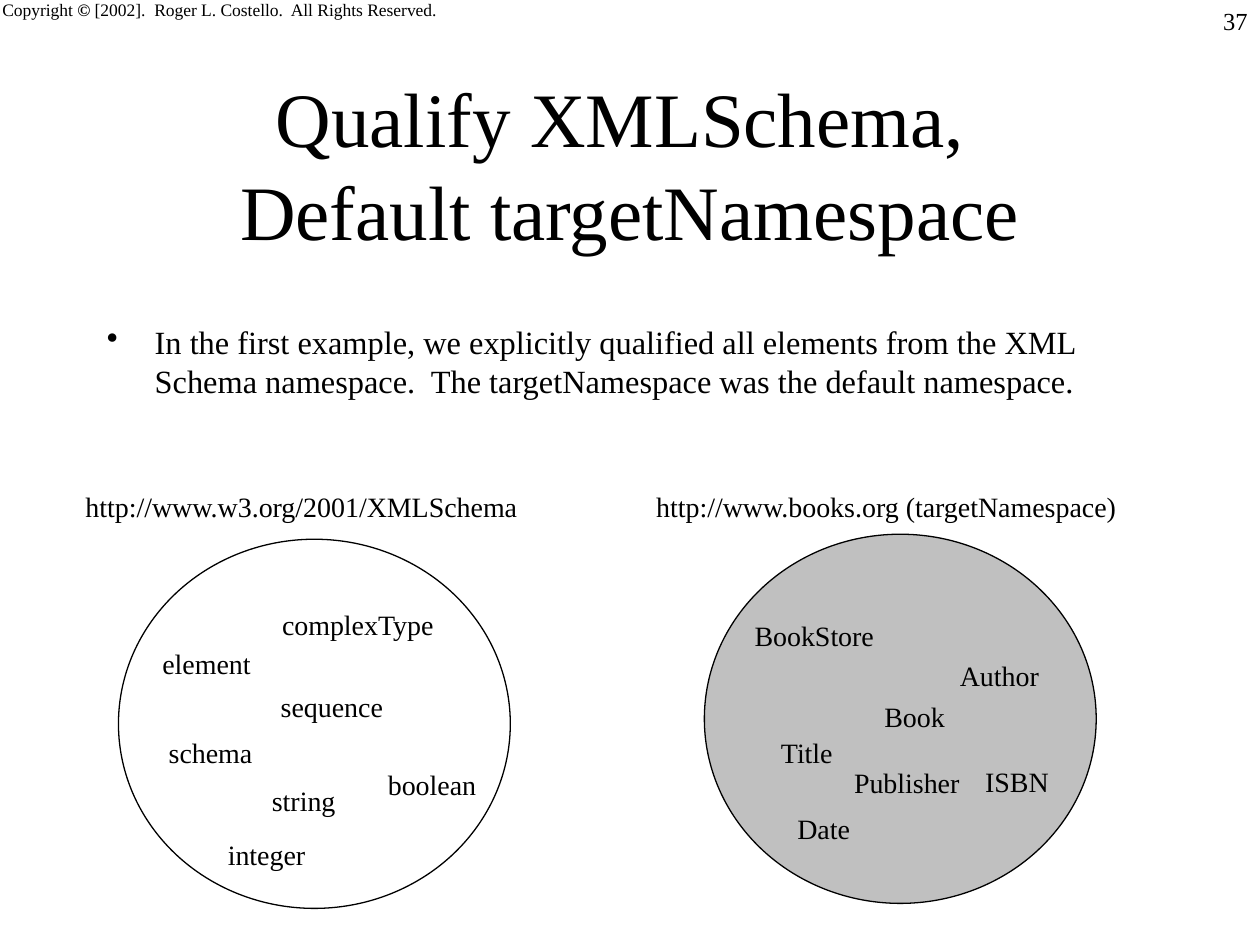
from lxml.etree import SubElement
from pptx import Presentation
from pptx.dml.color import RGBColor
from pptx.enum.shapes import MSO_SHAPE as Preset
from pptx.enum.text import MSO_ANCHOR as Anchor, MSO_AUTO_SIZE as AutoSize, PP_ALIGN as Align
from pptx.oxml.ns import qn
from pptx.util import Pt

PX = 9144  # EMU in one px, 100 px to the inch
FONT = "Times New Roman"
BLACK = RGBColor(0, 0, 0)
WHITE = RGBColor(255, 255, 255)
GREY = RGBColor(192, 192, 192)

LABEL_HEIGHT = 37
CIRCLE_SIZE = (311, 293)


def emu(*lengths):
    return [length * PX for length in lengths]


def add_text(slide, box, text, size=16, align=Align.LEFT, anchor=Anchor.TOP, wrap=False):
    """Add one paragraph of text; a vertical tab in it breaks the line."""
    frame = slide.shapes.add_textbox(*emu(*box)).text_frame
    frame.word_wrap = wrap
    frame.auto_size = AutoSize.NONE if wrap else AutoSize.SHAPE_TO_FIT_TEXT
    frame.vertical_anchor = anchor
    para = frame.paragraphs[0]
    para.text = text
    para.alignment = align
    para.font.size = Pt(size)
    for span in para.runs:
        style_span(span, size)
    return para


def style_span(span, size, bold=False):
    span.font.name = FONT
    span.font.size = Pt(size)
    span.font.bold = bold
    span.font.color.rgb = BLACK


def add_copyright(slide, box):
    para = add_text(slide, box, "Copyright ", size=10)
    for text, size, bold in (
        ("©", 10, True),
        (" [2002].  Roger L. Costello.  All Rights Reserved.", 10, False),
        (" ", 24, False),
    ):
        span = para.add_run()
        span.text = text
        style_span(span, size, bold)


def add_bullet(slide, box, text):
    para = add_text(slide, box, text, size=18.5, wrap=True)
    para.space_before = Pt(5)
    props = para._p.get_or_add_pPr()
    indent = 38 * PX
    props.set("marL", str(indent))
    props.set("indent", str(-indent))
    SubElement(props, qn("a:buChar")).set("char", "•")


def add_namespace(slide, box, address, circle_at, fill, names):
    """Draw an address over a circle of names, all placed from the corner of box."""
    left, top, width, _ = box
    add_text(slide, (left, top, width, LABEL_HEIGHT), address)

    x, y = circle_at
    circle = slide.shapes.add_shape(
        Preset.OVAL, *emu(left + x, top + y, *CIRCLE_SIZE))
    circle.shadow.inherit = False
    circle.fill.solid()
    circle.fill.fore_color.rgb = fill
    circle.line.color.rgb = BLACK
    circle.line.width = Pt(0.75)

    for name, x, y, name_width in names:
        add_text(slide, (left + x, top + y, name_width, LABEL_HEIGHT), name)


def main():
    deck = Presentation()
    deck.slide_width, deck.slide_height = emu(1000, 750)
    slide = deck.slides.add_slide(deck.slide_layouts[6])

    add_copyright(slide, (-8, -25, 373, 50))
    add_text(slide, (792, 0, 208, 50), "37", size=14, align=Align.RIGHT, wrap=True)
    add_text(slide, (75, 67, 850, 125),
             "Qualify XMLSchema, \vDefault targetNamespace", size=44,
             align=Align.CENTER, anchor=Anchor.MIDDLE, wrap=True)
    add_bullet(slide, (75, 251, 850, 105),
               "In the first example, we explicitly qualified all elements from "
               "the XML Schema namespace.  The targetNamespace was the default "
               "namespace.")

    add_namespace(
        slide, (58, 384, 365, 337), "http://www.w3.org/2001/XMLSchema",
        (36, 44), WHITE, [
            ("complexType", 156, 93, 144),
            ("element", 61, 124, 93),
            ("sequence", 155, 158, 104),
            ("schema", 66, 195, 89),
            ("boolean", 240, 220, 93),
            ("string", 148, 233, 73),
            ("integer", 113, 276, 84),
        ])
    add_namespace(
        slide, (511, 384, 387, 333), "http://www.books.org (targetNamespace)",
        (48, 40), GREY, [
            ("BookStore", 78, 102, 117),
            ("Author", 241, 134, 86),
            ("Book", 181, 166, 71),
            ("Title", 99, 195, 64),
            ("Publisher", 157, 219, 107),
            ("ISBN", 261, 218, 73),
            ("Date", 112, 255, 65),
        ])

    deck.save("out.pptx")


if __name__ == "__main__":
    main()
